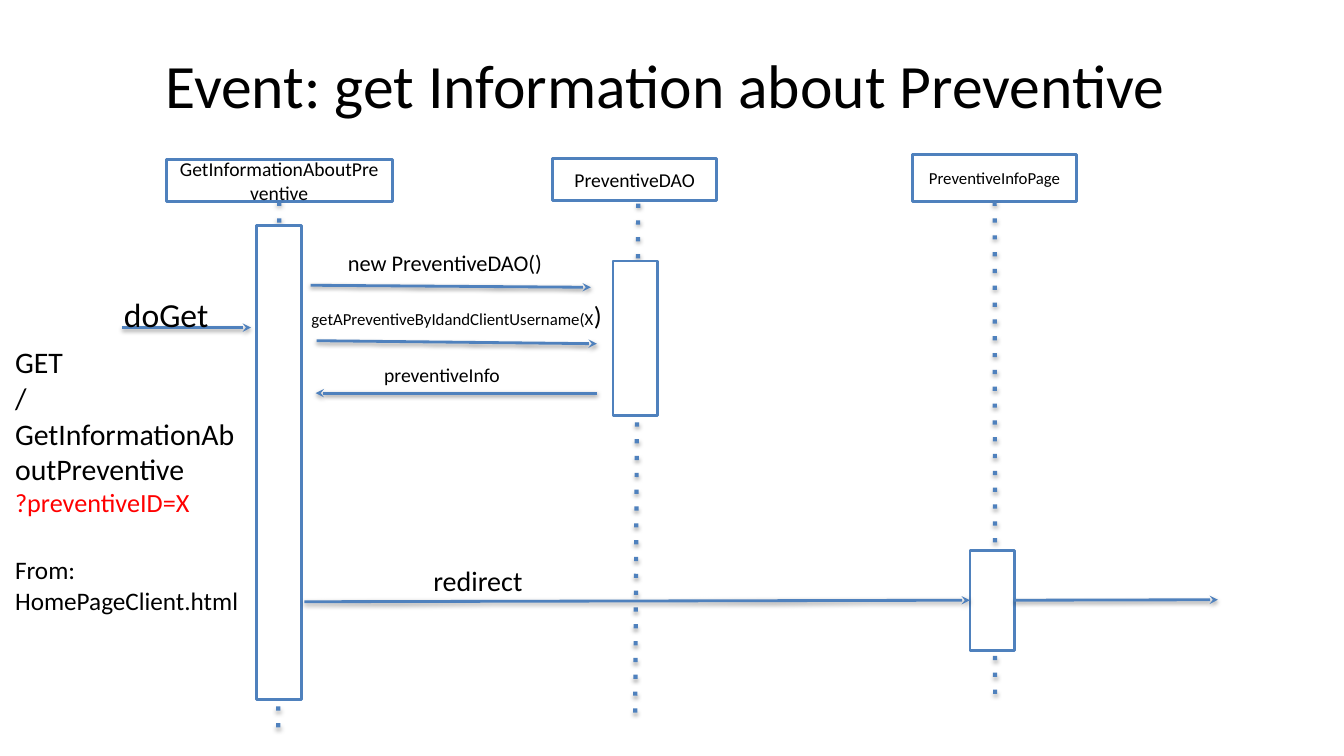
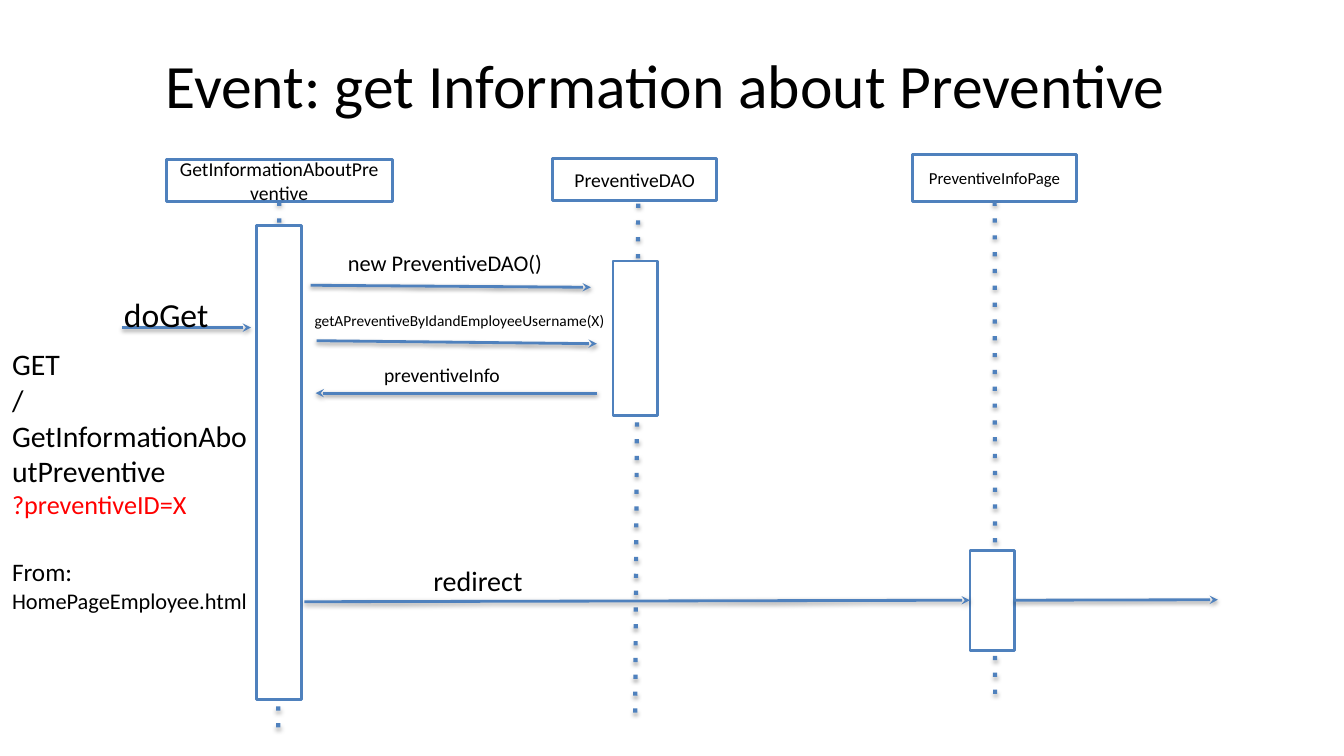
from lxml import etree
from pptx import Presentation
from pptx.dml.color import RGBColor
from pptx.enum.shapes import MSO_CONNECTOR, MSO_SHAPE
from pptx.enum.text import MSO_ANCHOR, PP_ALIGN
from pptx.oxml.ns import qn
from pptx.util import Inches, Pt

STRAIGHT = MSO_CONNECTOR.STRAIGHT
RECTANGLE = MSO_SHAPE.RECTANGLE
TOP, MIDDLE = MSO_ANCHOR.TOP, MSO_ANCHOR.MIDDLE
LEFT, CENTER = PP_ALIGN.LEFT, PP_ALIGN.CENTER
LEFT_SIDE, BOTTOM_SIDE, RIGHT_SIDE = 1, 2, 3
TITLE_ONLY = 5

BLACK = RGBColor(0, 0, 0)
WHITE = RGBColor(0xFF, 0xFF, 0xFF)
RED = RGBColor(0xFF, 0, 0)
BLUE = RGBColor(0x4F, 0x81, 0xBD)
FONT = "Calibri"

TITLE = "Event: get Information about Preventive "
# Messages with the same wording on both slides: text, box, size, alignment
LABELS = [
    ("doGet", (1.1, 2.85, 1.34, 0.4), 24, LEFT),
    ("new PreventiveDAO()", (3.32, 2.4, 2.35, 0.34), 16, LEFT),
    ("preventiveInfo", (3.68, 3.53, 1.88, 0.28), 14, LEFT),
    ("redirect", (3.8, 5.52, 1.88, 0.28), 20, CENTER),
]
# Arrows that stop short of the bars: start, end
ARROWS = [
    ((1.21, 3.25), (2.49, 3.25)),
    ((3.08, 2.83), (5.86, 2.85)),
    ((3.14, 3.38), (5.92, 3.41)),
    ((5.92, 3.9), (3.13, 3.9)),
]
# What differs between the two events
EVENTS = [
    {"query": [("getAPreventiveByIdandClientUsername(X", 12), (")", 18.7)],
     "query_box": (2.96, 2.9, 3.23, 0.41),
     "request_box": (0.02, 3.34, 2.57, 2.12),
     "origin": ("HomePageClient.html", 18)},
    {"query": [("getAPreventiveByIdandEmployeeUsername(X)", 11)],
     "query_box": (2.99, 3.02, 3.32, 0.34),
     "request_box": (-0.01, 3.36, 2.7, 2.16),
     "origin": ("HomePageEmployee.html", 16)},
]


def inches(*lengths):
    return [Inches(length) for length in lengths]


def write(frame, paragraphs, align=LEFT, anchor=TOP, gaps=None):
    """Each paragraph is a list of (text, size[, colour]); gaps maps index to space before."""
    frame.word_wrap = True
    frame.vertical_anchor = anchor
    frame.margin_left = frame.margin_right = Inches(0.13)
    frame.margin_top = frame.margin_bottom = Inches(0.07)
    for index, pieces in enumerate(paragraphs):
        paragraph = frame.paragraphs[0] if index == 0 else frame.add_paragraph()
        paragraph.alignment = align
        if gaps and index in gaps:
            paragraph.space_before = Pt(gaps[index])
        for text, size, *colour in pieces:
            run = paragraph.add_run()
            run.text = text
            run.font.name = FONT
            run.font.size = Pt(size)
            run.font.color.rgb = colour[0] if colour else BLACK


def add_label(slide, box, paragraphs, **text_format):
    label = slide.shapes.add_textbox(*inches(*box))
    write(label.text_frame, paragraphs, **text_format)


def add_box(slide, box, name=None, size=14):
    rectangle = slide.shapes.add_shape(RECTANGLE, *inches(*box))
    rectangle.shadow.inherit = False
    rectangle.fill.solid()
    rectangle.fill.fore_color.rgb = WHITE
    rectangle.line.color.rgb = BLUE
    rectangle.line.width = Pt(2)
    if name:
        write(rectangle.text_frame, [[(name, size)]], align=CENTER, anchor=MIDDLE)
    return rectangle


def add_line(slide, start, end, width, alpha, distance):
    line = slide.shapes.add_connector(STRAIGHT, *inches(*start, *end))
    line.line.color.rgb = BLUE
    line.line.width = Pt(width)
    properties = line._element.spPr
    effects = etree.SubElement(properties, qn("a:effectLst"))
    shadow = etree.SubElement(
        effects, qn("a:outerShdw"), blurRad=str(Pt(3.1)), dist=str(Pt(distance)),
        dir=str(90 * 60000), rotWithShape="0")
    colour = etree.SubElement(shadow, qn("a:srgbClr"), val=str(BLACK))
    etree.SubElement(colour, qn("a:alpha"), val=str(alpha * 1000))
    return line, properties.find(qn("a:ln"))


def add_lifeline(slide, start, end, header=None):
    lifeline, outline = add_line(slide, start, end, 3, alpha=35, distance=1.8)
    etree.SubElement(outline, qn("a:prstDash"), val="dot")
    if header is not None:
        lifeline.begin_connect(header, BOTTOM_SIDE)


def add_arrow(slide, start, end):
    arrow, outline = add_line(slide, start, end, 2, alpha=38, distance=1.6)
    etree.SubElement(outline, qn("a:tailEnd"), type="stealth")
    return arrow


def add_event(deck, event):
    slide = deck.slides.add_slide(deck.slide_layouts[TITLE_ONLY])
    write(slide.shapes.title.text_frame, [[(TITLE, 44)]], align=CENTER, anchor=MIDDLE)

    # Participants and their lifelines
    servlet = add_box(slide, (1.65, 1.58, 2.24, 0.42), "GetInformationAboutPreventive")
    add_box(slide, (5.48, 1.57, 1.63, 0.42), "PreventiveDAO")
    page = add_box(slide, (9.05, 1.53, 1.63, 0.47), "PreventiveInfoPage", size=12)
    add_lifeline(slide, (2.77, 2), (2.76, 7.23), header=servlet)
    add_lifeline(slide, (6.33, 2.02), (6.3, 7.09))
    add_lifeline(slide, (9.86, 2), (9.87, 6.98), header=page)

    # Activation bars
    add_box(slide, (2.54, 2.24, 0.45, 4.7))
    add_box(slide, (6.08, 2.59, 0.44, 1.53))
    page_bar = add_box(slide, (9.62, 5.46, 0.44, 0.99))

    # Messages
    for start, end in ARROWS:
        add_arrow(slide, start, end)
    redirect = add_arrow(slide, (3.02, 5.97), (9.62, 5.95))
    redirect.end_connect(page_bar, LEFT_SIDE)
    response = add_arrow(slide, (10.07, 5.95), (12.08, 5.95))
    response.begin_connect(page_bar, RIGHT_SIDE)
    for text, box, size, align in LABELS:
        add_label(slide, box, [[(text, size)]], align=align)
    add_label(slide, event["query_box"], [event["query"]])

    # Incoming request
    request = [
        [("GET", 21.3)],
        [("/GetInformationAboutPreventive", 21.3)],
        [("?preventiveID=X", 18.7, RED)],
        [("From:", 18)],
        [event["origin"]],
    ]
    add_label(slide, event["request_box"], request, gaps={3: 26})


def main():
    deck = Presentation()
    deck.slide_width, deck.slide_height = inches(13.33, 7.5)
    # Title position shared through the layout
    title = deck.slide_layouts[TITLE_ONLY].placeholders[0]
    title.left, title.top, title.width, title.height = inches(0.67, 0.3, 12, 1.07)
    for event in EVENTS:
        add_event(deck, event)
    deck.save("out.pptx")


if __name__ == "__main__":
    main()
